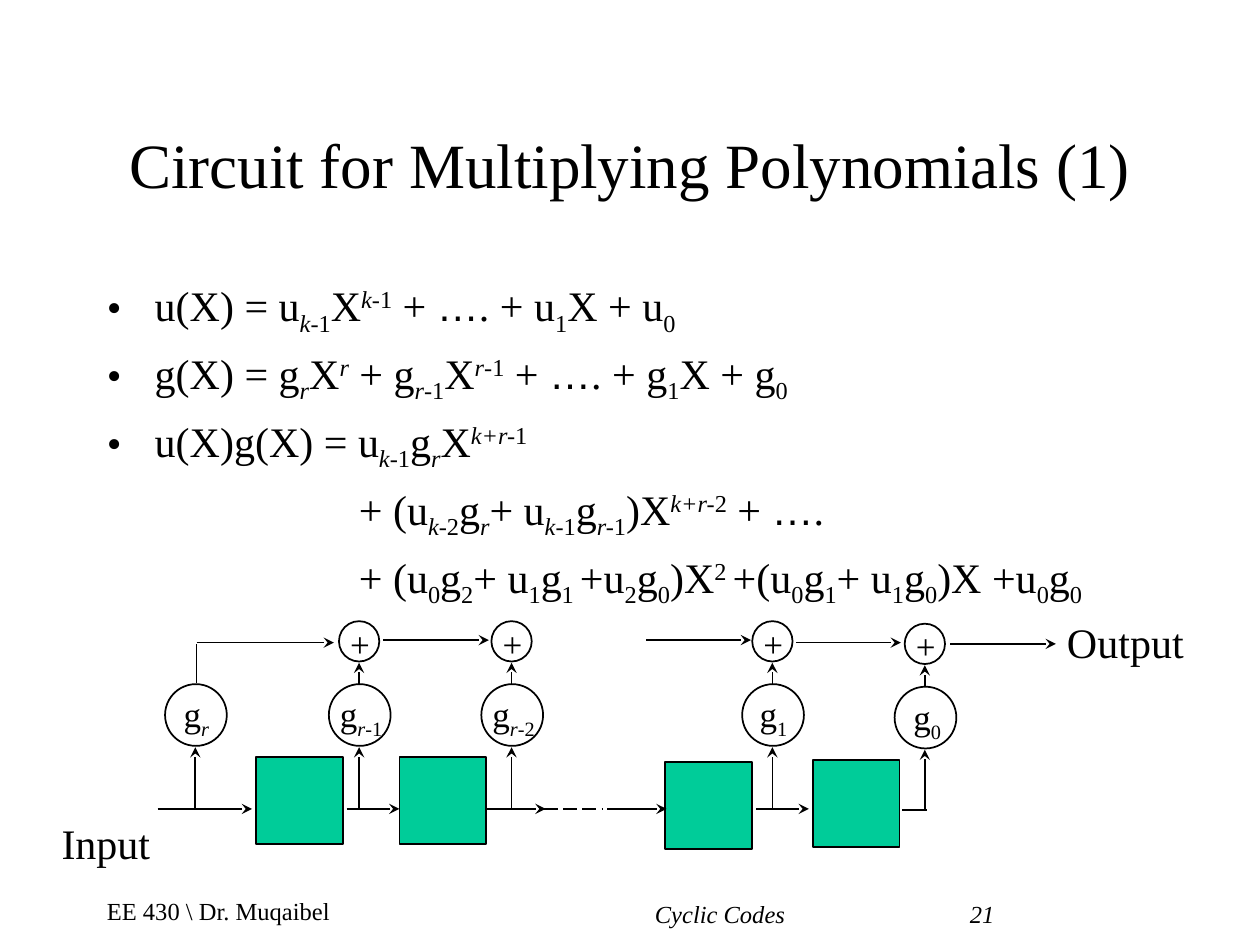
"""Build the slide on the circuit for multiplying polynomials."""
from lxml.etree import SubElement
from pptx import Presentation
from pptx.dml.color import RGBColor
from pptx.enum.dml import MSO_LINE
from pptx.enum.shapes import MSO_CONNECTOR, MSO_SHAPE
from pptx.enum.text import MSO_ANCHOR, MSO_AUTO_SIZE, PP_ALIGN
from pptx.oxml.ns import qn
from pptx.util import Inches, Pt

THEME = {
    "font": "Times New Roman",
    "dots_font": "Arial",
    "ink": RGBColor(0x00, 0x00, 0x00),
    "register": RGBColor(0x00, 0xCC, 0x99),
    "title": Pt(36),
    "body": Pt(24),
    "label": Pt(20),
    "footer": Pt(14),
    "line": Pt(1),
}
BASELINES = {"_": "-25000", "^": "30000"}


def write(shape, lines, size, wrap=True, anchor=MSO_ANCHOR.TOP, align=PP_ALIGN.LEFT, italic=False):
    frame = shape.text_frame
    settings = {"word_wrap": wrap, "vertical_anchor": anchor, "auto_size": MSO_AUTO_SIZE.NONE}
    for name, value in settings.items():
        setattr(frame, name, value)
    for index, line in enumerate(lines):
        para = frame.add_paragraph() if index else frame.paragraphs[0]
        para.alignment = align
        para.space_before = Pt(6 if index else 0)
        for piece in line.split("|"):
            script = piece[0] in BASELINES
            span = para.add_run()
            span.text = piece[1:] if script else piece
            looks = {
                "name": THEME["dots_font"] if piece == "…" else THEME["font"],
                "size": size,
                "italic": italic or (script and piece[1].isalpha()),
            }
            for name, value in looks.items():
                setattr(span.font, name, value)
            span.font.color.rgb = THEME["ink"]
            if script:
                span._r.get_or_add_rPr().set("baseline", BASELINES[piece[0]])


def connect(x1, y1, x2, y2, arrow=True, dash=None):
    ends = [Inches(value) for value in (x1, y1, x2, y2)]
    wire = page.shapes.add_connector(MSO_CONNECTOR.STRAIGHT, *ends)
    wire.line.color.rgb = THEME["ink"]
    wire.line.width = THEME["line"]
    if dash:
        wire.line.dash_style = dash
    if arrow:
        SubElement(wire.line._get_or_add_ln(), qn("a:tailEnd"), type="stealth")
    SubElement(wire._element.spPr, qn("a:effectLst"))


deck = Presentation()
deck.slide_width, deck.slide_height = Inches(10), Inches(7.5)
page = deck.slides.add_slide(deck.slide_layouts[5])

title = page.shapes.title
for side, value in {"left": 0.75, "top": 0.67, "width": 8.5, "height": 1.25}.items():
    setattr(title, side, Inches(value))
write(title, ["Circuit for Multiplying Polynomials (1)"], THEME["title"],
      anchor=MSO_ANCHOR.MIDDLE, align=PP_ALIGN.CENTER)

formulas = [
    "u(X) = u|_k|_-1|X|^k|^-1| + |…|. + u|_1|X + u|_0",
    "g(X) = g|_r|X|^r| + g|_r|_-1|X|^r|^-1| + |…|. + g|_1|X + g|_0",
    "u(X)g(X) = u|_k|_-1|g|_r|X|^k+r-|^1",
    "+ (u|_k|_-2|g|_r|+ u|_k|_-1|g|_r-|_1|)X|^k+r-|^2| + |…|.",
    "+ (u|_0|g|_2|+ u|_1|g|_1 |+u|_2|g|_0|)X|^2 |+(u|_0|g|_1|+ u|_1|g|_0|)X +u|_0|g|_0",
]
body = page.shapes.add_textbox(Inches(0.75), Inches(2.17), Inches(8.5), Inches(4.5))
write(body, formulas, THEME["body"])
for index, para in enumerate(body.text_frame.paragraphs):
    bulleted = index < 3
    props = para._p.get_or_add_pPr()
    props.set("marL", str(Inches(0.38 if bulleted else 2.25)))
    props.set("indent", str(Inches(-0.38 if bulleted else -0.25)))
    if bulleted:
        SubElement(props, qn("a:buFont"), typeface=THEME["font"])
        SubElement(props, qn("a:buChar"), char="•")

outlines = [(MSO_SHAPE.RECTANGLE, x, y, 0.69)
            for x, y in [(2.03, 6.01), (3.17, 6.01), (5.28, 6.05), (6.45, 6.03)]]
labels = []
columns = [
    (1.55, 0, "g|_r", 1.36, 0.4),
    (2.85, 0, "g|_r|_-1", 2.6, 0.54),
    (4.06, 0, "g|_r|_-2", 3.81, 0.54),
    (6.13, 0, "g|_1", 5.93, 0.42),
    (7.34, 0.02, "g|_0", 7.15, 0.42),
]
for index, (center, drop, label, label_left, label_width) in enumerate(columns):
    connect(center, 6.41 + drop, center, 5.93 + drop)
    outlines.append((MSO_SHAPE.OVAL, center - 0.24, 5.43 + drop, 0.49))
    labels.append((label, label_left, 5.45 + drop, label_width, 0.48, THEME["label"], False))
    if index:
        connect(center, 5.43 + drop, center, 5.26 + drop)
        outlines.append((MSO_SHAPE.OVAL, center - 0.16, 4.93 + drop, 0.32))
        labels.append(("+", center - 0.17, 4.89 + drop, 0.39, 0.43, THEME["label"], True))

for kind, left, top, side in outlines:
    part = page.shapes.add_shape(kind, Inches(left), Inches(top), Inches(side), Inches(side))
    part.shadow.inherit = False
    part.line.color.rgb = THEME["ink"]
    part.line.width = THEME["line"]
    if kind == MSO_SHAPE.RECTANGLE:
        part.fill.solid()
        part.fill.fore_color.rgb = THEME["register"]
    else:
        part.fill.background()

for start, end, y in [
    (1.25, 2, 6.42), (2.75, 3.17, 6.42), (3.86, 4.33, 6.42), (4.82, 5.29, 6.42),
    (6, 6.42, 6.42), (1.56, 2.65, 5.1), (3.04, 3.88, 5.08), (5.13, 5.96, 5.08),
    (6.32, 7.15, 5.1), (7.54, 8.38, 5.11),
]:
    connect(start, y, end, y)
connect(4.32, 6.42, 4.78, 6.42, arrow=False, dash=MSO_LINE.LONG_DASH)
connect(7.16, 6.43, 7.36, 6.43, arrow=False)
connect(1.56, 5.42, 1.56, 5.11, arrow=False)

labels += [
    ("Input", 0.39, 6.44, 0.93, 0.5, THEME["body"], True),
    ("Output", 8.37, 4.84, 1.13, 0.5, THEME["body"], False),
]
for label, left, top, width, height, size, wrap in labels:
    box = page.shapes.add_textbox(Inches(left), Inches(top), Inches(width), Inches(height))
    write(box, [label], size, wrap=wrap)

for caption, left, top, width, align, italic in [
    ("EE 430 \\ Dr. Muqaibel", 0.75, 6.98, 2.08, PP_ALIGN.LEFT, False),
    ("\tCyclic Codes\t\t\t21", 3.42, 7, 5.75, PP_ALIGN.CENTER, True),
]:
    box = page.shapes.add_textbox(Inches(left), Inches(top), Inches(width), Inches(0.5))
    write(box, [caption], THEME["footer"], wrap=False, anchor=MSO_ANCHOR.MIDDLE,
          align=align, italic=italic)

deck.save("out.pptx")
